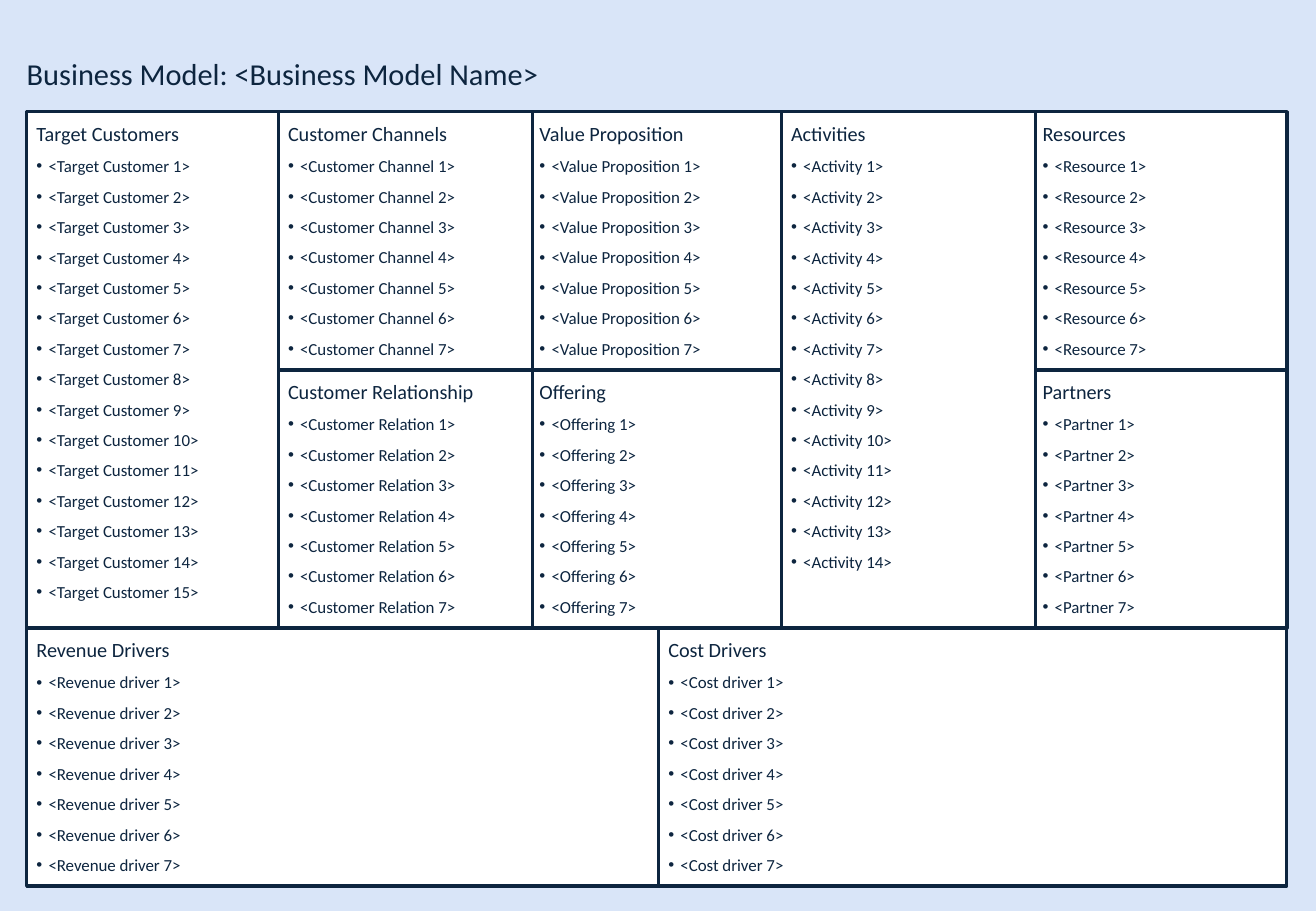
from dataclasses import dataclass

from lxml import etree
from pptx import Presentation
from pptx.dml.color import RGBColor
from pptx.enum.shapes import MSO_SHAPE
from pptx.enum.text import MSO_ANCHOR, MSO_AUTO_SIZE, PP_ALIGN
from pptx.oxml.ns import qn
from pptx.util import Emu, Pt

RECTANGLE = MSO_SHAPE.RECTANGLE
TOP = MSO_ANCHOR.TOP
LEFT = PP_ALIGN.LEFT
NO_AUTOFIT = MSO_AUTO_SIZE.NONE
TITLE_ONLY = 5
PX_PER_INCH = 200


@dataclass(frozen=True)
class Theme:
    font: str = "Calibri"
    ink: str = "0D253F"
    paper: str = "FFFFFF"
    backdrop: str = "D9E5F8"
    title_size: int = 18
    heading_size: int = 12
    item_size: int = 10
    border: int = 2
    item_spacing: float = 1.5


THEME = Theme()
SLIDE_SIZE = (2166, 1500)
TITLE_BOX = (44, 74, 1354, 76)
CANVAS_BOX = (44, 184, 2074, 1275)
COLUMN_PITCH = 414
COLUMN_WIDTH = 418
ROWS = 3
REVENUE_WIDTH = 1040
PADDING = 16
BULLET_INDENT = 20

# heading, item label, item count, column, first row, rows spanned;
# neighbours overlap slightly, so the order decides which border is on top
COLUMN_BLOCKS = [
    ("Target Customers", "Target Customer", 15, 0, 0, 2),
    ("Value Proposition", "Value Proposition", 7, 2, 0, 1),
    ("Customer Channels", "Customer Channel", 7, 1, 0, 1),
    ("Resources", "Resource", 7, 4, 0, 1),
    ("Offering", "Offering", 7, 2, 1, 1),
    ("Customer Relationship", "Customer Relation", 7, 1, 1, 1),
    ("Partners", "Partner", 7, 4, 1, 1),
    ("Activities", "Activity", 14, 3, 0, 2),
]


def px(length):
    return Emu(round(length * 914400 / PX_PER_INCH))


def color(value):
    return RGBColor.from_string(value)


def set_insets(frame, left, top, right, bottom):
    frame.margin_left, frame.margin_top = px(left), px(top)
    frame.margin_right, frame.margin_bottom = px(right), px(bottom)
    frame.vertical_anchor = TOP
    frame.word_wrap = True
    frame.auto_size = NO_AUTOFIT


def write(paragraph, text, size, spacing=1.0, bullet=False):
    paragraph.alignment = LEFT
    paragraph.line_spacing = spacing
    run = paragraph.add_run()
    run.text = text
    run.font.name = THEME.font
    run.font.size = Pt(size)
    run.font.color.rgb = color(THEME.ink)
    if bullet:
        add_bullet(paragraph)


def add_bullet(paragraph):
    properties = paragraph._p.get_or_add_pPr()
    properties.set("marL", str(px(BULLET_INDENT)))
    properties.set("indent", str(-px(BULLET_INDENT)))
    bullet_color = etree.SubElement(properties, qn("a:buClr"))
    etree.SubElement(bullet_color, qn("a:srgbClr"), val=THEME.ink)
    etree.SubElement(properties, qn("a:buFont"), typeface="Arial")
    etree.SubElement(properties, qn("a:buChar"), char="•")


def place_title(slide, box, text):
    title = slide.shapes.title
    title.left, title.top, title.width, title.height = map(px, box)
    set_insets(title.text_frame, 0, PADDING, 0, 0)
    write(title.text_frame.paragraphs[0], text, THEME.title_size)


def add_block(slide, box, heading, label, count):
    """Add a bordered block with a heading and numbered placeholder items."""
    block = slide.shapes.add_shape(RECTANGLE, *map(px, box))
    block.shadow.inherit = False
    block.fill.solid()
    block.fill.fore_color.rgb = color(THEME.paper)
    block.line.color.rgb = color(THEME.ink)
    block.line.width = Pt(THEME.border)
    frame = block.text_frame
    set_insets(frame, PADDING, PADDING, PADDING, PADDING)
    write(frame.paragraphs[0], heading, THEME.heading_size)
    for number in range(1, count + 1):
        write(frame.add_paragraph(), f"<{label} {number}>", THEME.item_size,
              spacing=THEME.item_spacing, bullet=True)


def add_drivers(slide, box):
    left, top, width, height = box
    add_block(slide, (left + REVENUE_WIDTH, top, width - REVENUE_WIDTH, height),
              "Cost Drivers", "Cost driver", 7)
    add_block(slide, (left, top, REVENUE_WIDTH, height),
              "Revenue Drivers", "Revenue driver", 7)


def add_canvas(slide, box):
    left, top, width, height = box
    row_height = height // ROWS
    add_drivers(slide, (left, top + 2 * row_height, width, row_height))
    for heading, label, count, column, row, span in COLUMN_BLOCKS:
        block_box = (left + column * COLUMN_PITCH, top + row * row_height,
                     COLUMN_WIDTH, span * row_height)
        add_block(slide, block_box, heading, label, count)


def main():
    deck = Presentation()
    deck.slide_width, deck.slide_height = map(px, SLIDE_SIZE)
    slide = deck.slides.add_slide(deck.slide_layouts[TITLE_ONLY])
    slide.background.fill.solid()
    slide.background.fill.fore_color.rgb = color(THEME.backdrop)
    place_title(slide, TITLE_BOX, "Business Model: <Business Model Name>")
    add_canvas(slide, CANVAS_BOX)
    deck.save("out.pptx")


if __name__ == "__main__":
    main()
